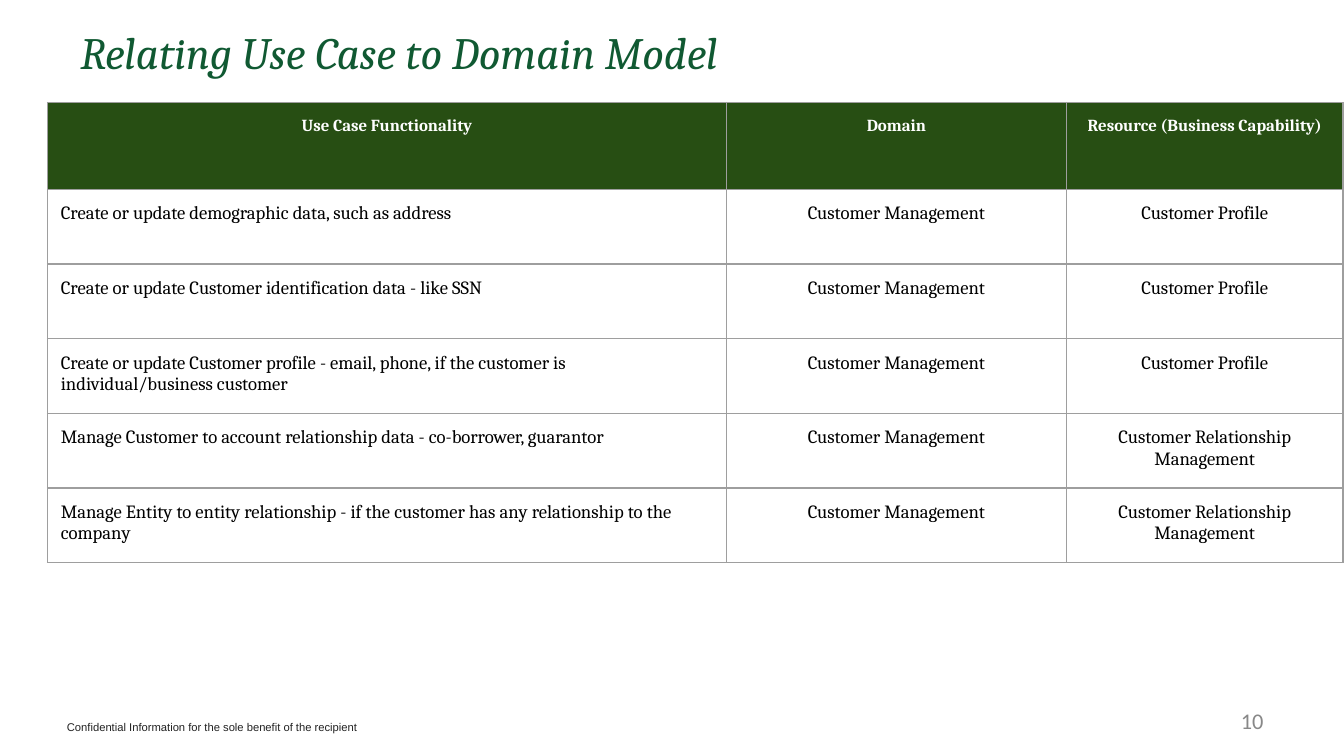
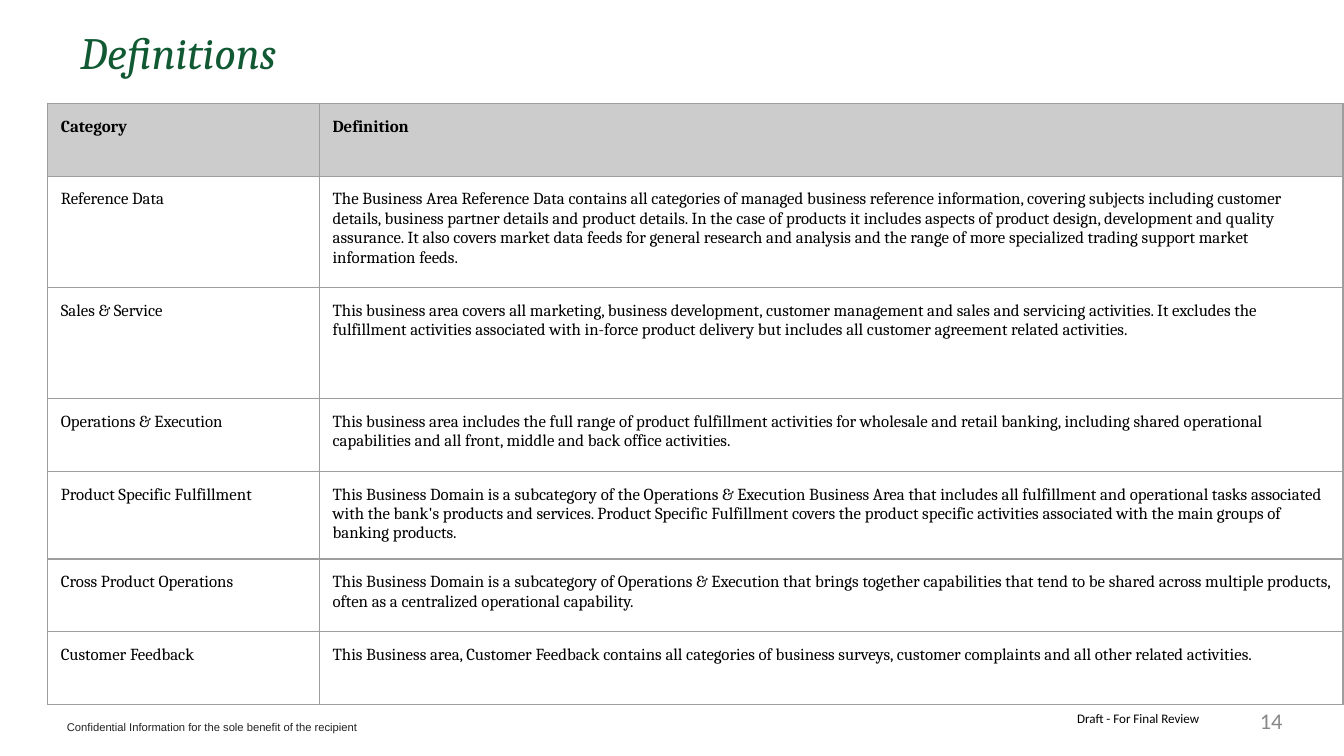
from lxml.etree import SubElement
from pptx import Presentation
from pptx.dml.color import RGBColor
from pptx.enum.text import MSO_ANCHOR, PP_ALIGN
from pptx.oxml.ns import qn
from pptx.util import Pt

FOREST = RGBColor(0x10, 0x59, 0x32)
HEADER_GREEN = RGBColor(0x27, 0x4E, 0x13)
HEADER_GREY = RGBColor(0xCC, 0xCC, 0xCC)
PAGE_GREY = RGBColor(0x88, 0x88, 0x88)
FOOTER_GREY = RGBColor(0x22, 0x22, 0x22)
BLACK = RGBColor(0x00, 0x00, 0x00)
WHITE = RGBColor(0xFF, 0xFF, 0xFF)
BORDER_GREY = RGBColor(0x9E, 0x9E, 0x9E)

FOOTER = "Confidential Information for the sole benefit of the recipient"
DOMAIN = "Customer Management"
PROFILE = "Customer Profile"
RELATIONSHIP = "Customer Relationship Management"

# Content: one entry per slide
SLIDES = [
    {
        "title": "Relating Use Case to Domain Model",
        "title_width": 520,
        "number": "10",
        "number_left": 516.2,
        "draft": None,
        "top": 54.9,
        "columns": [363.7, 182.2, 148.2],
        "heights": [46.6] + [40] * 5,
        "aligns": [PP_ALIGN.LEFT, PP_ALIGN.CENTER, PP_ALIGN.CENTER],
        "header_align": PP_ALIGN.CENTER,
        "header_fill": HEADER_GREEN,
        "header_color": WHITE,
        "body_size": 10,
        "body_fill": WHITE,
        "rows": [
            ("Use Case Functionality", "Domain", "Resource (Business Capability)"),
            ("Create or update demographic data, such as address", DOMAIN, PROFILE),
            ("Create or update Customer identification data - like SSN", DOMAIN, PROFILE),
            ("Create or update Customer profile - email, phone, if the customer is "
             "individual/business customer", DOMAIN, PROFILE),
            ("Manage Customer to account relationship data - co-borrower, guarantor",
             DOMAIN, RELATIONSHIP),
            ("Manage Entity to entity relationship - if the customer has any "
             "relationship to the company", DOMAIN, RELATIONSHIP),
        ],
    },
    {
        "title": "Definitions",
        "title_width": 366,
        "number": "14",
        "number_left": 526.3,
        "draft": "Draft - For Final Review",
        "top": 55.4,
        "columns": [145.6, 548.5],
        "heights": [39, 59.6, 59.6, 39, 46, 39, 39],
        "aligns": [PP_ALIGN.LEFT, PP_ALIGN.LEFT],
        "header_align": PP_ALIGN.LEFT,
        "header_fill": HEADER_GREY,
        "header_color": BLACK,
        "body_size": 9,
        "body_fill": None,
        "rows": [
            ("Category", "Definition"),
            ("Reference Data",
             "The Business Area Reference Data contains all categories of managed business "
             "reference information, covering subjects including customer details, business "
             "partner details and product details. In the case of products it includes aspects "
             "of product design, development and quality assurance. It also covers market data "
             "feeds for general research and analysis and the range of more specialized trading "
             "support market information feeds."),
            ("Sales & Service",
             "This business area covers all marketing, business development, customer management "
             "and sales and servicing activities. It excludes the fulfillment activities "
             "associated with in-force product delivery but includes all customer agreement "
             "related activities."),
            ("Operations & Execution",
             "This business area includes the full range of product fulfillment activities for "
             "wholesale and retail banking, including shared operational capabilities and all "
             "front, middle and back office activities."),
            ("Product Specific Fulfillment",
             "This Business Domain is a subcategory of the Operations & Execution Business Area "
             "that includes all fulfillment and operational tasks associated with the bank's "
             "products and services. Product Specific Fulfillment covers the product specific "
             "activities associated with the main groups of banking products."),
            ("Cross Product Operations",
             "This Business Domain is a subcategory of Operations & Execution that brings "
             "together capabilities that tend to be shared across multiple products, often as a "
             "centralized operational capability."),
            ("Customer Feedback",
             "This Business area, Customer Feedback contains all categories of business surveys, "
             "customer complaints and all other related activities."),
        ],
    },
]

# Shared formats
TABLE_LEFT = 25.4
INSET = 7.2
TITLE_FONT = {"name": "Cambria", "size": Pt(24), "italic": True}
NUMBER_FONT = {"name": "Calibri", "size": Pt(12)}
DRAFT_FONT = {"name": "Calibri", "size": Pt(7)}
FOOTER_FONT = {"name": "Arial", "size": Pt(6)}


def set_all(target, values):
    for name, value in values.items():
        setattr(target, name, value)


def write(para, text, font, color, align):
    para.alignment = align
    span = para.add_run()
    span.text = text
    set_all(span.font, font)
    span.font.color.rgb = color


def add_text(page, place, text, font, color, align=PP_ALIGN.LEFT,
             anchor=MSO_ANCHOR.MIDDLE, inset=3.6):
    box = page.shapes.add_textbox(*(Pt(length) for length in place))
    set_all(box.text_frame, {
        "word_wrap": True, "vertical_anchor": anchor,
        "margin_left": Pt(INSET), "margin_right": Pt(INSET),
        "margin_top": Pt(inset), "margin_bottom": Pt(inset)})
    write(box.text_frame.paragraphs[0], text, font, color, align)


def add_borders(cell):
    properties = cell._tc.get_or_add_tcPr()
    for position, side in enumerate(("a:lnL", "a:lnR", "a:lnT", "a:lnB")):
        line = SubElement(properties, qn(side), w=str(Pt(0.75)))
        fill = SubElement(line, qn("a:solidFill"))
        SubElement(fill, qn("a:srgbClr"), val=str(BORDER_GREY))
        properties.insert(position, line)


def fill_cell(cell, text, font, color, align, fill):
    set_all(cell, {f"margin_{side}": Pt(INSET)
                   for side in ("left", "right", "top", "bottom")})
    write(cell.text_frame.paragraphs[0], text, font, color, align)
    if fill is None:
        cell.fill.background()
    else:
        cell.fill.solid()
        cell.fill.fore_color.rgb = fill
    add_borders(cell)


def add_grid(page, content):
    rows, columns, heights = content["rows"], content["columns"], content["heights"]
    table = page.shapes.add_table(
        len(rows), len(columns), Pt(TABLE_LEFT), Pt(content["top"]),
        Pt(sum(columns)), Pt(sum(heights))).table
    table.horz_banding = False
    for column, width in zip(table.columns, columns):
        column.width = Pt(width)
    for index, (row, height, texts) in enumerate(zip(table.rows, heights, rows)):
        row.height = Pt(height)
        header = index == 0
        font = {"name": "Cambria", "bold": header,
                "size": Pt(9 if header else content["body_size"])}
        color = content["header_color"] if header else BLACK
        fill = content["header_fill"] if header else content["body_fill"]
        for cell, text, align in zip(row.cells, texts, content["aligns"]):
            fill_cell(cell, text, font, color,
                      content["header_align"] if header else align, fill)


def add_page(deck, content):
    page = deck.slides.add_slide(deck.slide_layouts[6])
    # Title and page number
    add_text(page, (36, 13.7, content["title_width"], 27.4),
             content["title"], TITLE_FONT, FOREST)
    add_text(page, (content["number_left"], 375.1, 167.8, 21.6),
             content["number"], NUMBER_FONT, PAGE_GREY, PP_ALIGN.RIGHT)
    # Draft mark, table and footer
    if content["draft"]:
        add_text(page, (570, 376.6, 131.8, 21.6), content["draft"],
                 DRAFT_FONT, BLACK, anchor=MSO_ANCHOR.TOP, inset=INSET)
    add_grid(page, content)
    add_text(page, (28.8, 382.3, 204.5, 15.8), FOOTER,
             FOOTER_FONT, FOOTER_GREY, anchor=MSO_ANCHOR.TOP, inset=INSET)


def main():
    deck = Presentation()
    deck.slide_width, deck.slide_height = Pt(720), Pt(405)
    for content in SLIDES:
        add_page(deck, content)
    deck.save("out.pptx")


if __name__ == "__main__":
    main()
